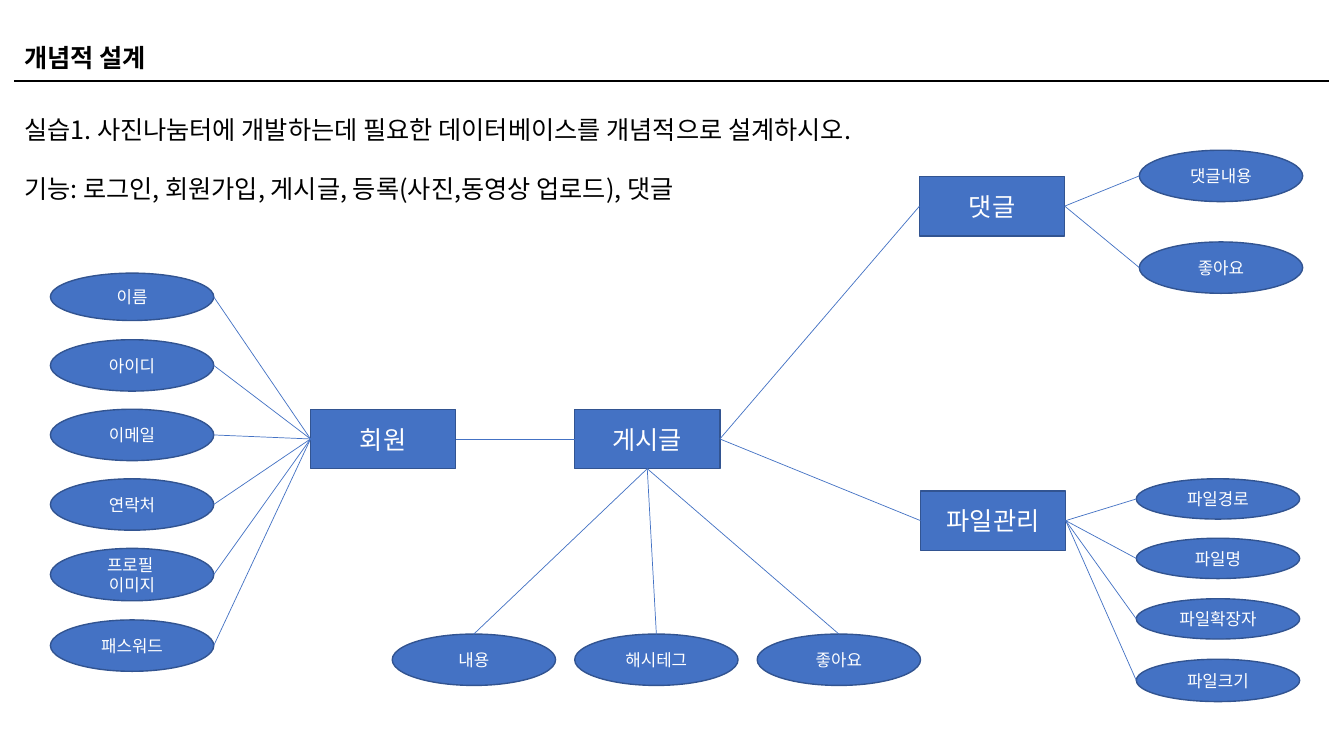
from pptx import Presentation
from pptx.dml.color import RGBColor
from pptx.enum.shapes import MSO_CONNECTOR, MSO_SHAPE
from pptx.enum.text import MSO_ANCHOR, PP_ALIGN
from pptx.oxml.ns import qn
from pptx.util import Inches, Pt
from lxml.etree import SubElement

BLACK = RGBColor(0x00, 0x00, 0x00)
WHITE = RGBColor(0xFF, 0xFF, 0xFF)
BLUE = RGBColor(0x44, 0x72, 0xC4)
DARK_BLUE = RGBColor(0x32, 0x54, 0x91)

ENTITY_SIZE = (1.44, 0.59)
ATTRIBUTE_WIDTH = 1.62


class Diagram:
    """Holds the page and the style of an entity diagram."""

    font = "Noto Sans CJK KR"

    def __init__(self, page):
        self.page = page

    def style_text(self, frame, size, color, bold=False):
        for para in frame.paragraphs:
            for span in para.runs:
                span.font.size = Pt(size)
                span.font.name = self.font
                span.font.bold = bold
                span.font.color.rgb = color
                east_asian = SubElement(span.font._element, qn("a:ea"))
                east_asian.set("typeface", self.font)

    def text(self, left, top, width, height, words, bold=False, gap=0):
        box = self.page.shapes.add_textbox(
            Inches(left), Inches(top), Inches(width), Inches(height))
        frame = box.text_frame
        frame.word_wrap = True
        frame.text = words
        for para in frame.paragraphs[1:]:
            para.space_before = Pt(gap)
        self.style_text(frame, 18, BLACK, bold)

    def node(self, kind, left, top, width, height, words, size):
        shape = self.page.shapes.add_shape(
            kind, Inches(left), Inches(top), Inches(width), Inches(height))
        shape.shadow.inherit = False
        shape.fill.solid()
        shape.fill.fore_color.rgb = BLUE
        shape.line.color.rgb = DARK_BLUE
        shape.line.width = Pt(1)
        frame = shape.text_frame
        frame.word_wrap = True
        frame.vertical_anchor = MSO_ANCHOR.MIDDLE
        frame.text = words
        for para in frame.paragraphs:
            para.alignment = PP_ALIGN.CENTER
        self.style_text(frame, size, WHITE)
        return shape

    def entity(self, left, top, words):
        return self.node(MSO_SHAPE.RECTANGLE, left, top, *ENTITY_SIZE, words, 18)

    def attribute(self, left, top, height, words):
        return self.node(MSO_SHAPE.OVAL, left, top, ATTRIBUTE_WIDTH, height, words, 12)

    def line(self, start, end, color=BLUE, width=0.5):
        connector = self.page.shapes.add_connector(MSO_CONNECTOR.STRAIGHT, *start, *end)
        connector.line.color.rgb = color
        connector.line.width = Pt(width)
        SubElement(connector._element.spPr, qn("a:effectLst"))

    def link(self, first, first_side, second, second_side):
        self.line(side_point(first, first_side), side_point(second, second_side))


def side_point(shape, side):
    """Middle of one side of a shape."""
    across, down = {"left": (0, 0.5), "right": (1, 0.5),
                    "top": (0.5, 0), "bottom": (0.5, 1)}[side]
    return (int(shape.left + shape.width * across),
            int(shape.top + shape.height * down))


def main():
    deck = Presentation()
    deck.slide_width, deck.slide_height = Inches(13.33), Inches(7.5)
    diagram = Diagram(deck.slides.add_slide(deck.slide_layouts[6]))

    # Heading and exercise
    diagram.line((Inches(0.14), Inches(0.8)), (Inches(13.18), Inches(0.8)), BLACK, 1.5)
    diagram.text(0.14, 0.37, 13.04, 0.4, "개념적 설계", bold=True)
    diagram.text(0.14, 1.08, 13.04, 1.01,
                 "실습1. 사진나눔터에 개발하는데 필요한 데이터베이스를 개념적으로 설계하시오.\n"
                 "기능: 로그인, 회원가입, 게시글, 등록(사진,동영상 업로드), 댓글", gap=21)

    # Entities
    member = diagram.entity(3.08, 4.06, "회원")
    post = diagram.entity(5.7, 4.06, "게시글")
    comment = diagram.entity(9.12, 1.75, "댓글")
    files = diagram.entity(9.13, 4.87, "파일관리")
    diagram.link(member, "right", post, "left")
    diagram.link(post, "right", comment, "left")
    diagram.link(post, "right", files, "left")

    # Attributes: entity, its side, attribute side, then left, top, height, words
    groups = [
        (member, "left", "right", [
            (0.5, 2.71, 0.47, "이름"),
            (0.5, 3.37, 0.51, "아이디"),
            (0.5, 4.06, 0.51, "이메일"),
            (0.5, 4.75, 0.51, "연락처"),
            (0.5, 5.44, 0.52, "프로필 \n이미지"),
            (0.5, 6.15, 0.51, "패스워드")]),
        (post, "bottom", "top", [
            (3.89 + 1.81 * column, 6.29, 0.51, words)
            for column, words in enumerate(["내용", "해시테그", "좋아요"])]),
        (comment, "right", "left", [
            (11.3, 1.49, 0.51, "댓글내용"),
            (11.3, 2.4, 0.51, "좋아요")]),
        (files, "right", "left", [
            (11.27, 4.75, 0.4, "파일경로"),
            (11.27, 5.34, 0.4, "파일명"),
            (11.27, 5.94, 0.4, "파일확장자"),
            (11.27, 6.54, 0.42, "파일크기")]),
    ]
    for entity, entity_side, attribute_side, attributes in groups:
        for attribute in attributes:
            oval = diagram.attribute(*attribute)
            diagram.link(entity, entity_side, oval, attribute_side)

    deck.save("out.pptx")


if __name__ == "__main__":
    main()
